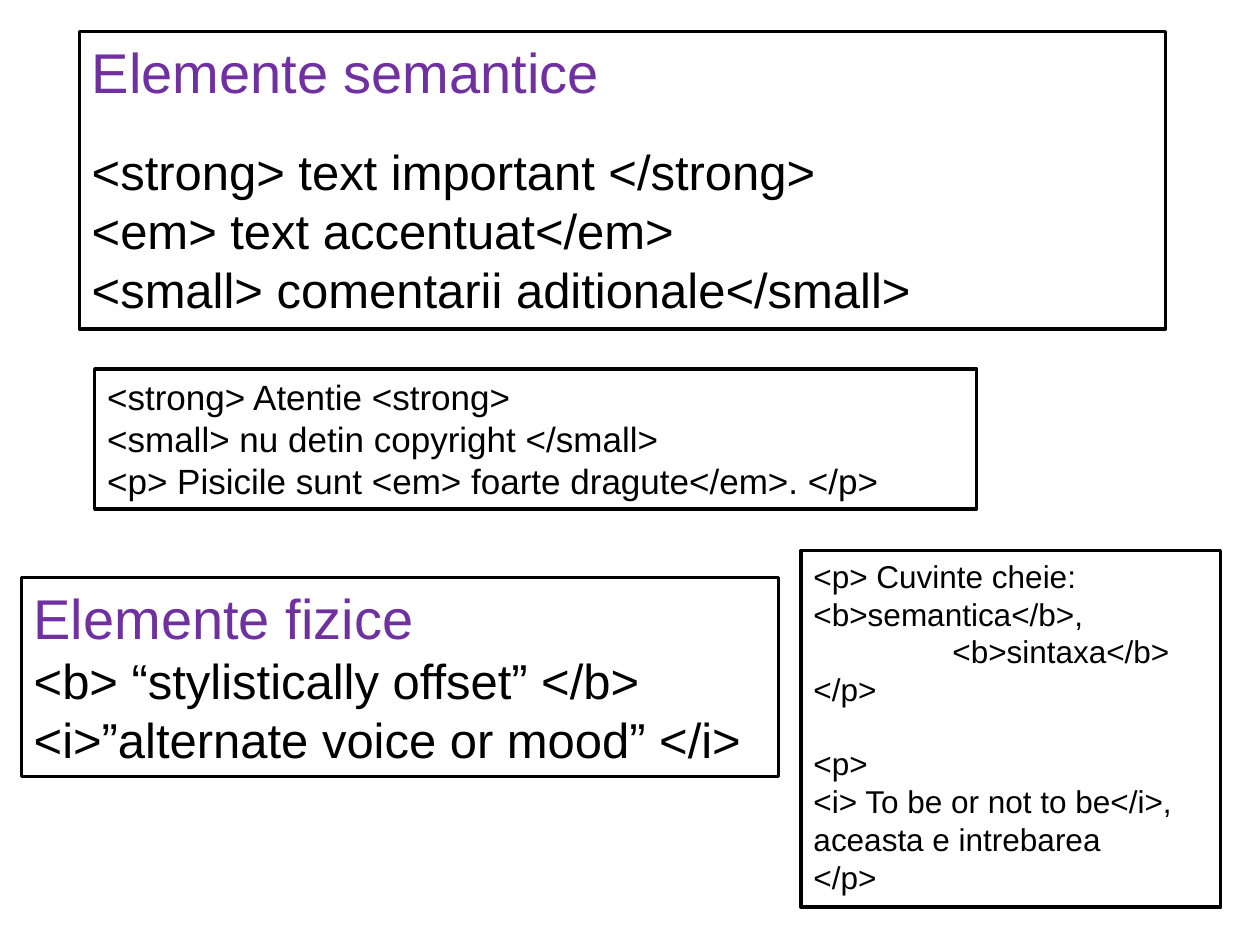
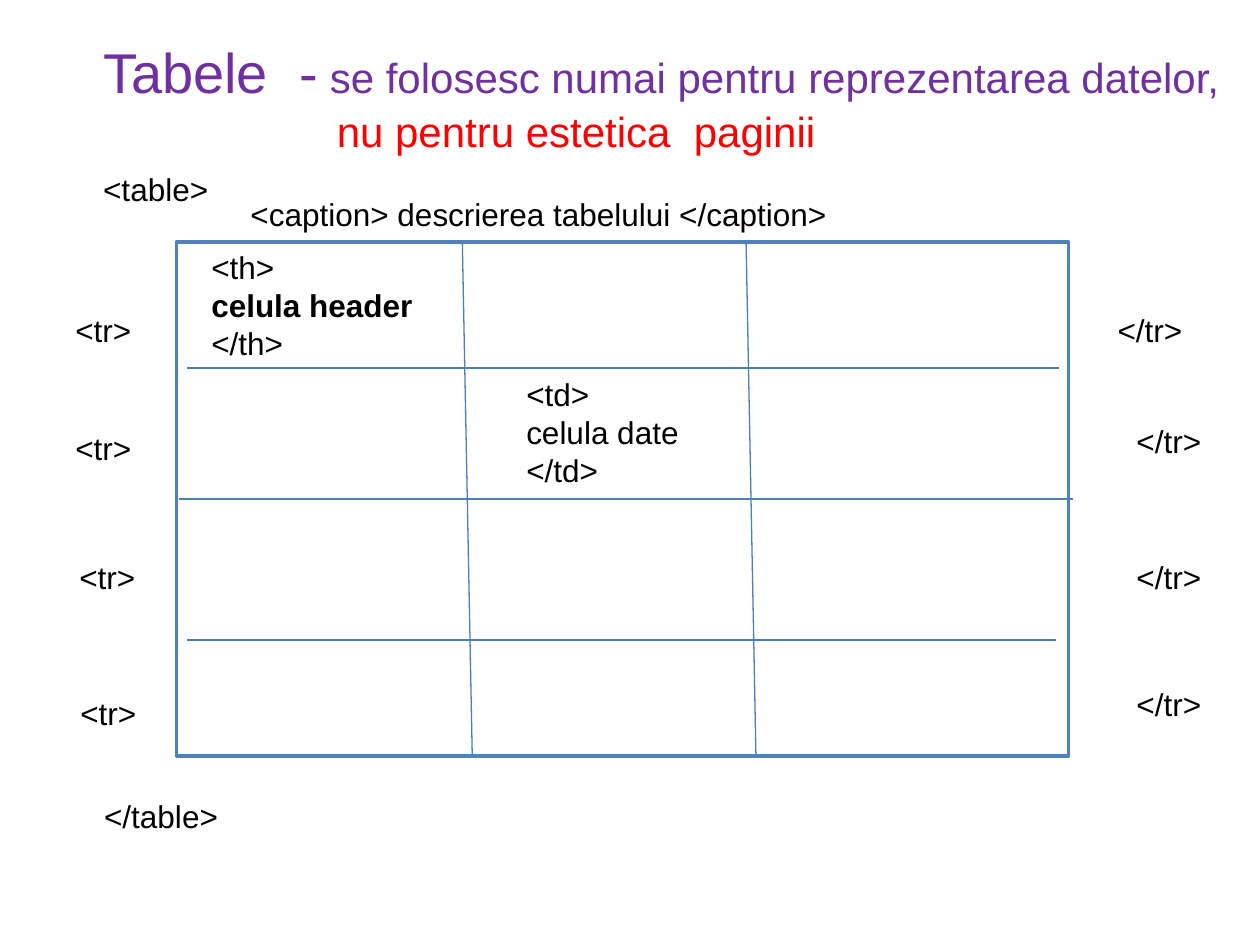
import dataclasses

import pptx
import pptx.dml.color
import pptx.enum.shapes
import pptx.enum.text
import pptx.util
import lxml.etree

BLACK, WHITE, PURPLE, RED = "000000", "FFFFFF", "7030A0", "FF0000"
GRID_FRAME, GRID_LINE = "4F81BD", "4B7EBC"
FONT = "Arial"
HEADING, SUBHEADING, BODY, EXAMPLE, CODE = 32, 24, 28, 20, 18
BLANK_LINE = 20.7  # height in points of one empty line of code text
DRAWING_NS = "http://schemas.openxmlformats.org/drawingml/2006/main"


def rgb(hex_color):
    return pptx.dml.color.RGBColor.from_string(hex_color)


def cm(*lengths):
    return [pptx.util.Cm(length) for length in lengths]


@dataclasses.dataclass
class Line:
    """One paragraph; lead is an opening run set at heading size."""
    text: str
    size: int = CODE
    color: str = BLACK
    bold: bool = False
    before: float = 0
    indent: float = 0
    lead: str = ""


def lines(size, *texts):
    return [Line(text, size) for text in texts]


class Deck:
    def __init__(self):
        self.presentation = pptx.Presentation()
        self.presentation.slide_width = pptx.util.Cm(25.4)
        self.presentation.slide_height = pptx.util.Cm(19.05)
        self.slide = None

    def new_slide(self):
        blank = self.presentation.slide_layouts[6]
        self.slide = self.presentation.slides.add_slide(blank)

    def set_text(self, shape, content, wrap):
        frame = shape.text_frame
        frame.word_wrap = wrap
        frame.auto_size = pptx.enum.text.MSO_AUTO_SIZE.SHAPE_TO_FIT_TEXT
        frame.vertical_anchor = pptx.enum.text.MSO_ANCHOR.TOP
        for index, line in enumerate(content):
            paragraph = frame.add_paragraph() if index else frame.paragraphs[0]
            paragraph.alignment = pptx.enum.text.PP_ALIGN.LEFT
            paragraph.space_before = pptx.util.Pt(line.before)
            font = paragraph.font
            font.name, font.bold = FONT, line.bold
            font.size = pptx.util.Pt(line.size)
            font.color.rgb = rgb(line.color)
            if line.indent:
                properties = paragraph._p.get_or_add_pPr()
                properties.set("marL", str(pptx.util.Cm(line.indent)))
            if line.lead:
                lead = paragraph.add_run()
                lead.text = line.lead
                lead.font.size = pptx.util.Pt(HEADING)
            paragraph.add_run().text = line.text

    def frame(self, left, top, width, height, outline=BLACK):
        box = self.slide.shapes.add_shape(
            pptx.enum.shapes.MSO_SHAPE.RECTANGLE,
            *cm(left, top, width, height))
        box.shadow.inherit = False
        box.fill.solid()
        box.fill.fore_color.rgb = rgb(WHITE)
        box.line.color.rgb = rgb(outline)
        box.line.width = pptx.util.Pt(2)
        return box

    def panel(self, left, top, width, height, content, wrap=True):
        self.set_text(self.frame(left, top, width, height), content, wrap)

    def label(self, left, top, width, height, content):
        box = self.slide.shapes.add_textbox(*cm(left, top, width, height))
        self.set_text(box, content, wrap=False)

    def rule(self, x1, y1, x2, y2):
        connector = self.slide.shapes.add_connector(
            pptx.enum.shapes.MSO_CONNECTOR.STRAIGHT, *cm(x1, y1, x2, y2))
        connector.line.color.rgb = rgb(GRID_LINE)
        connector.line.width = pptx.util.Pt(0.75)
        lxml.etree.SubElement(
            connector._element.spPr, f"{{{DRAWING_NS}}}effectLst")


def text_elements_slide(deck):
    deck.new_slide()
    deck.panel(16.15, 11.1, 8.46, 7.19, [
        Line("<p> Cuvinte cheie: <b>semantica</b>,"),
        Line("<b>sintaxa</b>", indent=2.8),
        Line("</p>"),
        Line("<p>", before=BLANK_LINE),
        *lines(CODE, "<i> To be or not to be</i>,",
               "aceasta e intrebarea", "</p>"),
    ])
    deck.panel(1.6, 0.64, 21.9, 5.99, [
        Line("Elemente semantice", HEADING, PURPLE),
        Line("<strong> text important </strong>", BODY, before=BLANK_LINE),
        *lines(BODY, "<em> text accentuat</em>",
               "<small> comentarii aditionale</small>"),
    ])
    deck.panel(0.43, 11.64, 15.27, 4.02, [
        Line("Elemente fizice", HEADING, PURPLE),
        *lines(BODY, "<b> “stylistically offset” </b>",
               "<i>”alternate voice or mood” </i>"),
    ], wrap=False)
    deck.panel(1.91, 7.44, 17.78, 2.82, lines(
        EXAMPLE, "<strong> Atentie <strong>",
        "<small> nu detin copyright </small>",
        "<p> Pisicile sunt <em> foarte dragute</em>. </p>"))


def tables_slide(deck):
    deck.new_slide()
    grid_top, grid_height = 4.88, 10.36
    deck.frame(3.56, grid_top, 17.98, grid_height, GRID_FRAME)
    deck.label(1.83, 0.64, 23.04, 2.64, [
        Line(" se folosesc numai pentru reprezentarea datelor,",
             SUBHEADING, PURPLE, lead="Tabele  -"),
        Line("nu pentru estetica  paginii", SUBHEADING, RED, indent=4.71),
    ])

    for left, right, y in ((3.76, 21.34, 7.42), (3.61, 21.64, 10.06),
                           (3.76, 21.28, 12.9)):
        deck.rule(left, y, right, y)
    for x in (9.32, 15.04):
        deck.rule(x, grid_top, x + 0.2, grid_top + grid_height)

    deck.label(4.01, grid_top, 4.6, 2.57, [
        Line("<th>"), Line("celula header", bold=True), Line("</th>")])
    deck.label(10.36, 7.44, 3.61, 2.57,
               lines(CODE, "<td>", "celula date", "</td>"))

    tags = [
        ("<table>", 1.83, 3.3, 2.64),
        ("<caption> descrierea tabelului </caption>", 4.8, 3.81, 12.24),
        ("</table>", 1.85, 15.95, 2.82),
    ]
    for left, top in ((1.27, 6.15), (1.27, 8.53), (1.35, 11.13), (1.37, 13.87)):
        tags.append(("<tr>", left, top, 1.65))
    for left, top in ((22.28, 6.15), (22.66, 8.38), (22.66, 11.13),
                      (22.66, 13.69)):
        tags.append(("</tr>", left, top, 1.83))
    for tag, left, top, width in tags:
        deck.label(left, top, width, 1.02, [Line(tag)])


def main():
    deck = Deck()
    text_elements_slide(deck)
    tables_slide(deck)
    deck.presentation.save("out.pptx")


if __name__ == "__main__":
    main()
